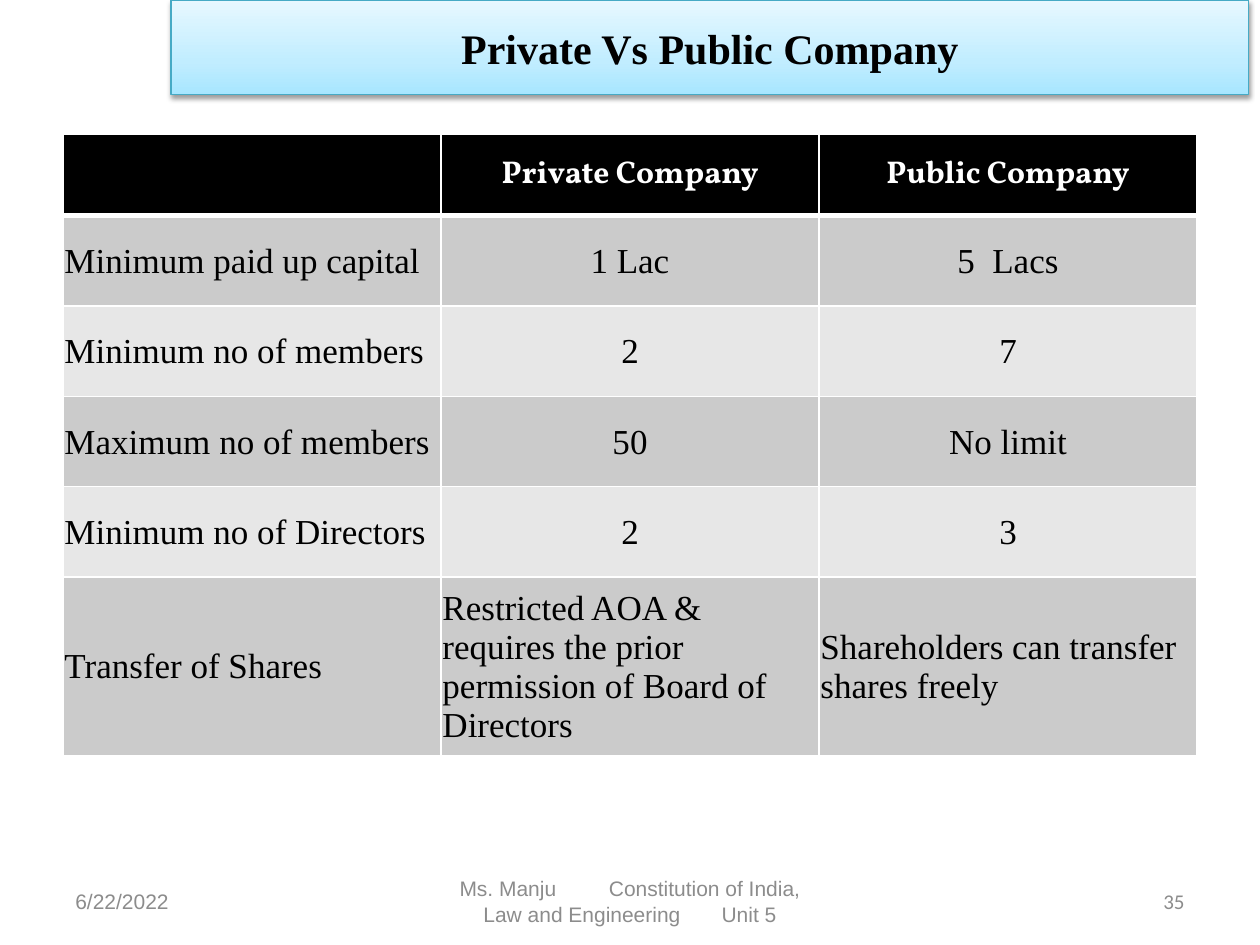
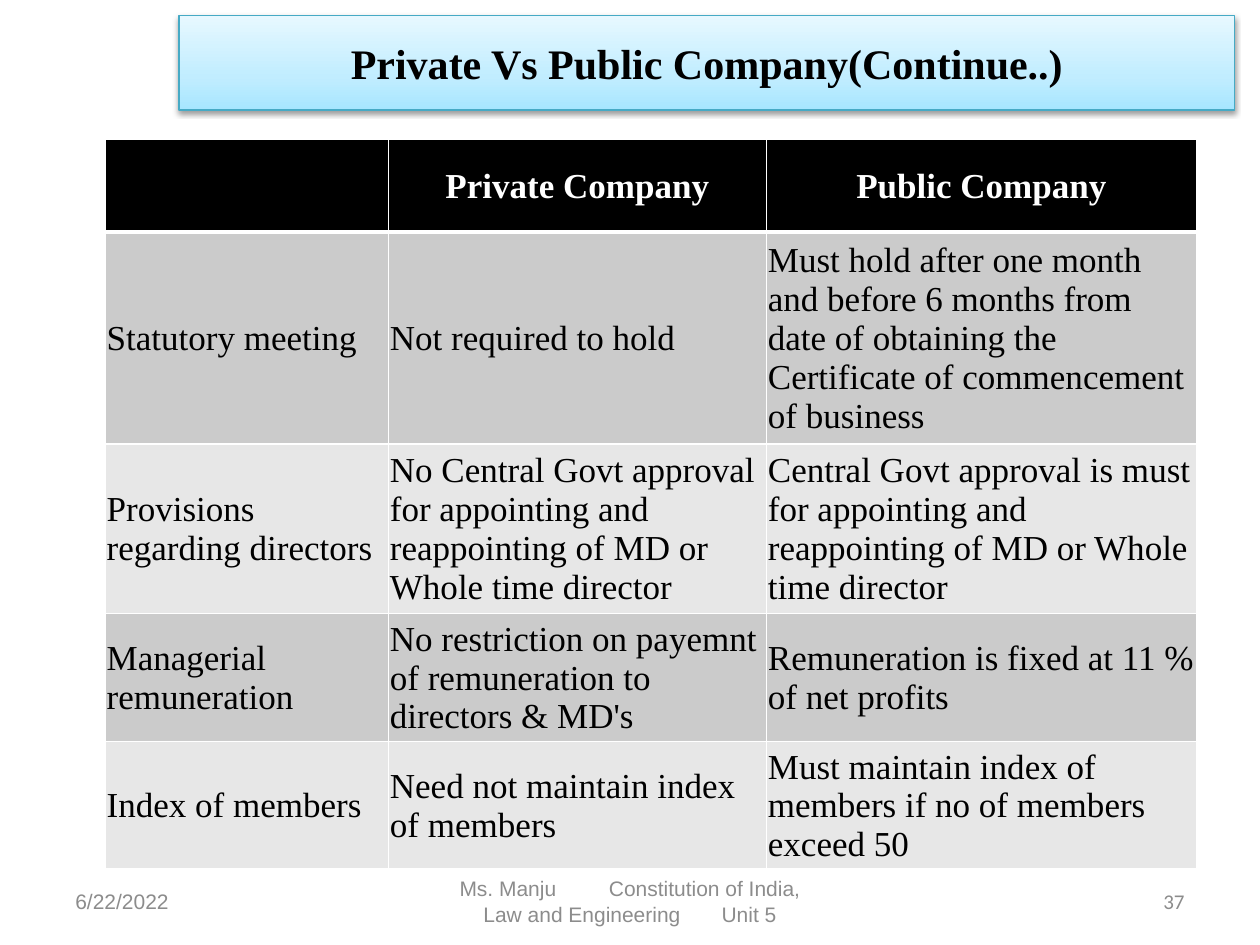
from copy import deepcopy
from lxml import etree
from pptx import Presentation
from pptx.dml.color import RGBColor
from pptx.enum.shapes import MSO_SHAPE
from pptx.enum.text import MSO_ANCHOR, PP_ALIGN
from pptx.oxml.ns import qn
from pptx.util import Cm, Pt

LEFT, CENTER, RIGHT = PP_ALIGN.LEFT, PP_ALIGN.CENTER, PP_ALIGN.RIGHT
MIDDLE = MSO_ANCHOR.MIDDLE
RECT = MSO_SHAPE.RECTANGLE
SERIF, SANS, NUMBER = "Times New Roman", "Arial", "Calibri"
COLORS = {
    "black": "000000", "white": "FFFFFF", "footer": "8C8C8C",
    "band_dark": "CBCBCB", "band_light": "E7E7E7", "title_line": "46AAC5",
}
TITLE_STOPS = [(0, "A7E6FF"), (0.35, "C1EDFF"), (1, "E7F8FF")]
FOOTER = [("Ms. Manju", 0), (" ", 26.7), ("Constitution of India, Law and Engineering", 0),
          (" ", 20), ("Unit 5", 0)]


def write(tf, text, size=20, font=SERIF, color="black", bold=False, align=LEFT):
    tf.word_wrap = True
    p = tf.paragraphs[0]
    p.alignment = align
    for part, spacing in [(text, 0)] if isinstance(text, str) else text:
        r = p.add_run()
        r.text = part
        r.font.size = Pt(size)
        r.font.name = font
        r.font.bold = bold
        r.font.color.rgb = RGBColor.from_string(COLORS[color])
        if spacing:
            r._r.get_or_add_rPr().set("spc", str(round(spacing * 100)))


def add_border(cell, side, width):
    ln = etree.SubElement(cell._tc.get_or_add_tcPr(), qn("a:ln" + side), w=str(Pt(width)))
    fill = etree.SubElement(ln, qn("a:solidFill"))
    etree.SubElement(fill, qn("a:srgbClr"), val=COLORS["white"])


slides = [
    {
        "title": "Private Vs Public Company", "title_box": (3.45, 0, 21.72, 1.91),
        "number": "35", "head_font": "Vollkorn", "head_size": 18,
        "left": 1.27, "top": 2.7, "cols": [7.62, 7.62, 7.62],
        "heights": [1.65] + [1.82] * 4 + [3.6],
        "centered_rows": range(1, 5),
        "rows": [
            ["Minimum paid up capital", "1 Lac", "5  Lacs"],
            ["Minimum no of members", "2", "7"],
            ["Maximum no of members", "50", "No limit"],
            ["Minimum no of Directors", "2", "3"],
            ["Transfer of Shares",
             "Restricted AOA & requires the prior permission of Board of Directors",
             "Shareholders can transfer shares freely"],
        ],
    },
    {
        "title": "Private Vs Public Company(Continue..)", "title_box": (3.61, 0.31, 21.28, 1.91),
        "number": "37", "head_font": SERIF, "head_size": 20,
        "left": 2.12, "top": 2.8, "cols": [5.71, 7.62, 8.67],
        "heights": [1.88, 4.24, 3.42, 2.58, 2.56],
        "centered_rows": [],
        "rows": [
            ["Statutory meeting", "Not required to hold",
             "Must hold after one month and before 6 months from date of obtaining the "
             "Certificate of commencement of business"],
            ["Provisions regarding directors",
             "No Central Govt approval for appointing and reappointing of MD or Whole time director",
             "Central Govt approval is must for appointing and reappointing of MD or Whole time director"],
            ["Managerial remuneration",
             "No restriction on payemnt of remuneration to directors & MD's",
             "Remuneration is fixed at 11 % of net profits"],
            ["Index of members", "Need not maintain index of members",
             "Must maintain index of members if no of members exceed 50"],
        ],
    },
]

prs = Presentation()
prs.slide_width, prs.slide_height = Cm(25.4), Cm(19.05)

for data in slides:
    s = prs.slides.add_slide(prs.slide_layouts[6])

    for text, left, width, align, font in [
        ("6/22/2022", 1.27, 5.93, LEFT, SANS),
        (FOOTER, 8.68, 8.04, CENTER, SANS),
        (data["number"], 18.2, 5.93, RIGHT, NUMBER),
    ]:
        tf = s.shapes.add_textbox(Cm(left), Cm(17.66), Cm(width), Cm(1.01)).text_frame
        tf.vertical_anchor = MIDDLE
        write(tf, text, size=12, font=font, color="footer", align=align)

    rows = [["", "Private Company", "Public Company"]] + data["rows"]
    table = s.shapes.add_table(
        len(rows), 3, Cm(data["left"]), Cm(data["top"]),
        Cm(sum(data["cols"])), Cm(sum(data["heights"]))).table
    for column, width in zip(table.columns, data["cols"]):
        column.width = Cm(width)
    for i, (row, height) in enumerate(zip(rows, data["heights"])):
        table.rows[i].height = Cm(height)
        fill = "black" if i == 0 else "band_dark" if i % 2 else "band_light"
        for j, text in enumerate(row):
            cell = table.cell(i, j)
            cell.vertical_anchor = MIDDLE
            cell.margin_left = cell.margin_right = cell.margin_top = Cm(0.03)
            cell.margin_bottom = 0
            for side in "LRTB":
                heavy = (i, side) in [(0, "B"), (1, "T")]
                add_border(cell, side, 3 if heavy else 1)
            cell.fill.solid()
            cell.fill.fore_color.rgb = RGBColor.from_string(COLORS[fill])
            if i == 0 and text:
                write(cell.text_frame, text, size=data["head_size"], font=data["head_font"],
                      color="white", bold=True, align=CENTER)
            elif text:
                centered = j > 0 and i in data["centered_rows"]
                write(cell.text_frame, text, align=CENTER if centered else LEFT)

    sp = s.shapes.add_shape(RECT, *[Cm(v) for v in data["title_box"]])
    sp.fill.gradient()
    sp.fill.gradient_angle = 90
    stops = sp._element.spPr.find(".//" + qn("a:gsLst"))
    stops.append(deepcopy(stops[0]))
    for stop, (position, color) in zip(sp.fill.gradient_stops, TITLE_STOPS):
        stop.position = position
        stop.color.rgb = RGBColor.from_string(color)
    sp.line.color.rgb = RGBColor.from_string(COLORS["title_line"])
    sp.line.width = Pt(0.75)
    sp.shadow.inherit = False
    shadow = etree.SubElement(
        sp._element.spPr.find(qn("a:effectLst")), qn("a:outerShdw"),
        blurRad=str(Pt(3.1)), dist=str(Pt(1.6)), dir="5400000", rotWithShape="0")
    shade = etree.SubElement(shadow, qn("a:srgbClr"), val=COLORS["black"])
    etree.SubElement(shade, qn("a:alpha"), val="38000")
    sp.text_frame.vertical_anchor = MIDDLE
    write(sp.text_frame, data["title"], size=24, bold=True, align=CENTER)

prs.save("out.pptx")
